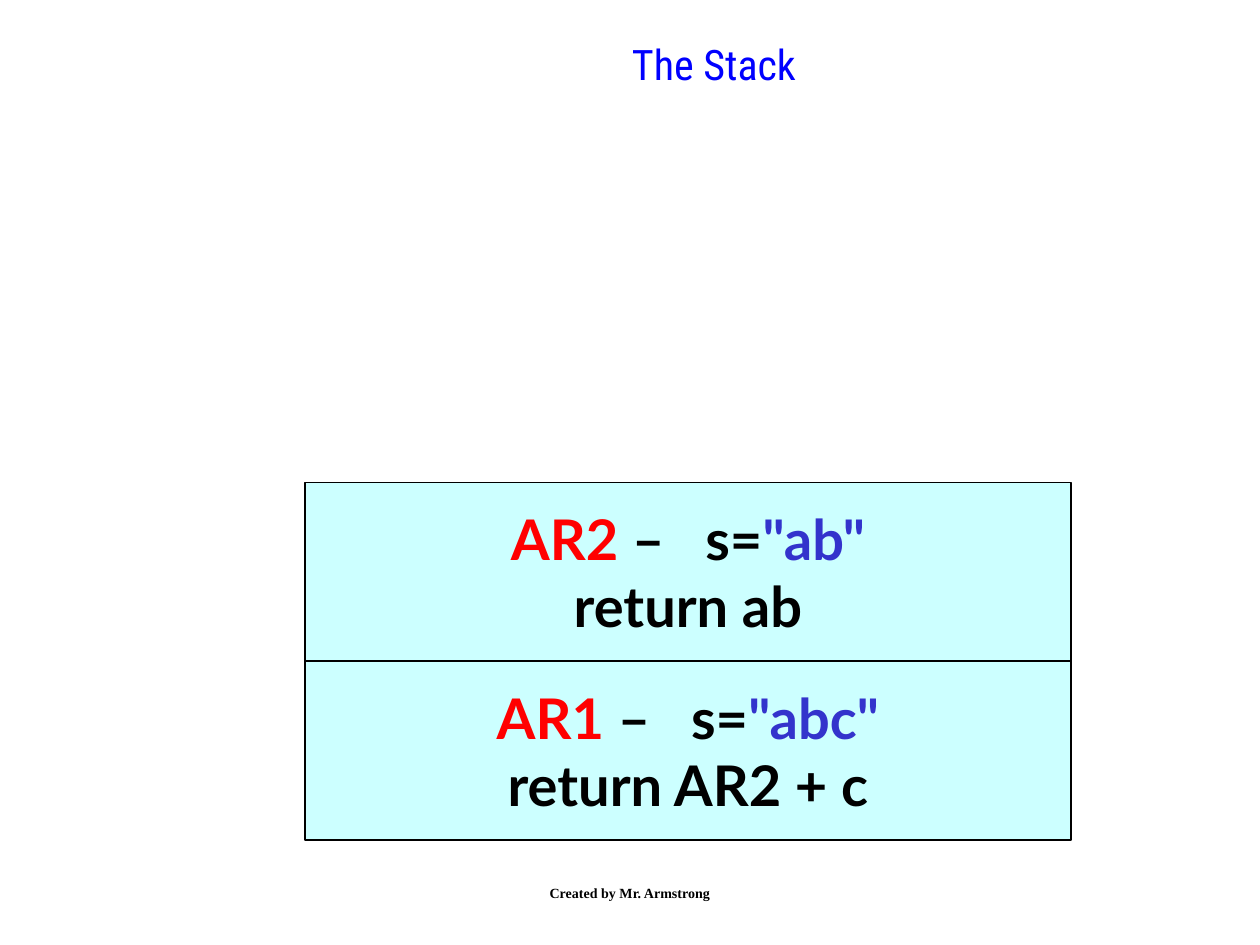
from dataclasses import dataclass

from pptx import Presentation
from pptx.dml.color import RGBColor
from pptx.enum.shapes import MSO_SHAPE
from pptx.enum.text import MSO_ANCHOR, MSO_AUTO_SIZE, PP_ALIGN
from pptx.slide import Slide
from pptx.text.text import TextFrame
from pptx.util import Cm, Pt

BLACK = "000000"
RED = "FF0000"
INDIGO = "3333CC"
BLUE = "0000FF"
PALE_CYAN = "CCFFFF"

STACK_LEFT, STACK_BOTTOM = 6.15, 16.93
FRAME_WIDTH, FRAME_HEIGHT = 15.44, 3.6


@dataclass(frozen=True)
class TextStyle:
    font: str
    size: float
    bold: bool = False


@dataclass(frozen=True)
class ActivationRecord:
    label: str
    argument: str
    result: str


TITLE_STYLE = TextStyle("Roboto Condensed", 24)
RECORD_STYLE = TextStyle("Lato", 32, bold=True)
FOOTER_STYLE = TextStyle("Times New Roman", 8, bold=True)

# The first call lies at the bottom of the stack.
RECORDS = [
    ActivationRecord("AR1", '"abc"', "return AR2 + c"),
    ActivationRecord("AR2", '"ab"', "return ab"),
]


def color(value: str) -> RGBColor:
    return RGBColor.from_string(value)


def write_lines(frame: TextFrame, lines: list[list[tuple[str, str]]],
                style: TextStyle, anchor: MSO_ANCHOR, wrap: bool) -> None:
    """Write centred lines, each a list of (text, colour) runs."""
    frame.auto_size = MSO_AUTO_SIZE.NONE
    frame.word_wrap = wrap
    frame.vertical_anchor = anchor
    for index, line in enumerate(lines):
        paragraph = frame.add_paragraph() if index else frame.paragraphs[0]
        paragraph.alignment = PP_ALIGN.CENTER
        for text, text_color in line:
            run = paragraph.add_run()
            run.text = text
            run.font.name = style.font
            run.font.size = Pt(style.size)
            run.font.bold = style.bold
            run.font.color.rgb = color(text_color)


def add_title(slide: Slide, text: str) -> None:
    title = slide.shapes.title
    title.left, title.top = Cm(5.93), Cm(0.64)
    title.width, title.height = Cm(16.93), Cm(1.48)
    write_lines(title.text_frame, [[(text, BLUE)]], TITLE_STYLE, MSO_ANCHOR.TOP, False)


def add_record(slide: Slide, record: ActivationRecord, level: int) -> None:
    """Draw one stack frame; level 0 is the bottom of the stack."""
    top = STACK_BOTTOM - (level + 1) * FRAME_HEIGHT
    shape = slide.shapes.add_shape(MSO_SHAPE.RECTANGLE, Cm(STACK_LEFT), Cm(top),
                                   Cm(FRAME_WIDTH), Cm(FRAME_HEIGHT))
    shape.shadow.inherit = False
    shape.fill.solid()
    shape.fill.fore_color.rgb = color(PALE_CYAN)
    shape.line.color.rgb = color(BLACK)
    shape.line.width = Pt(1)
    lines = [
        [(record.label, RED), (" –   s=", BLACK), (record.argument, INDIGO)],
        [(record.result, BLACK)],
    ]
    write_lines(shape.text_frame, lines, RECORD_STYLE, MSO_ANCHOR.MIDDLE, False)


def add_footer(slide: Slide, text: str) -> None:
    footer = slide.shapes.add_textbox(Cm(8.68), Cm(17.36), Cm(8.04), Cm(1.27))
    write_lines(footer.text_frame, [[(text, BLACK)]], FOOTER_STYLE, MSO_ANCHOR.MIDDLE, True)


def main() -> None:
    presentation = Presentation()
    presentation.slide_width, presentation.slide_height = Cm(25.4), Cm(19.05)
    title_only = presentation.slide_layouts.get_by_name("Title Only")
    slide = presentation.slides.add_slide(title_only)
    add_title(slide, "The Stack")
    for level, record in enumerate(RECORDS):
        add_record(slide, record, level)
    add_footer(slide, "Created by Mr. Armstrong")
    presentation.save("out.pptx")


if __name__ == "__main__":
    main()
